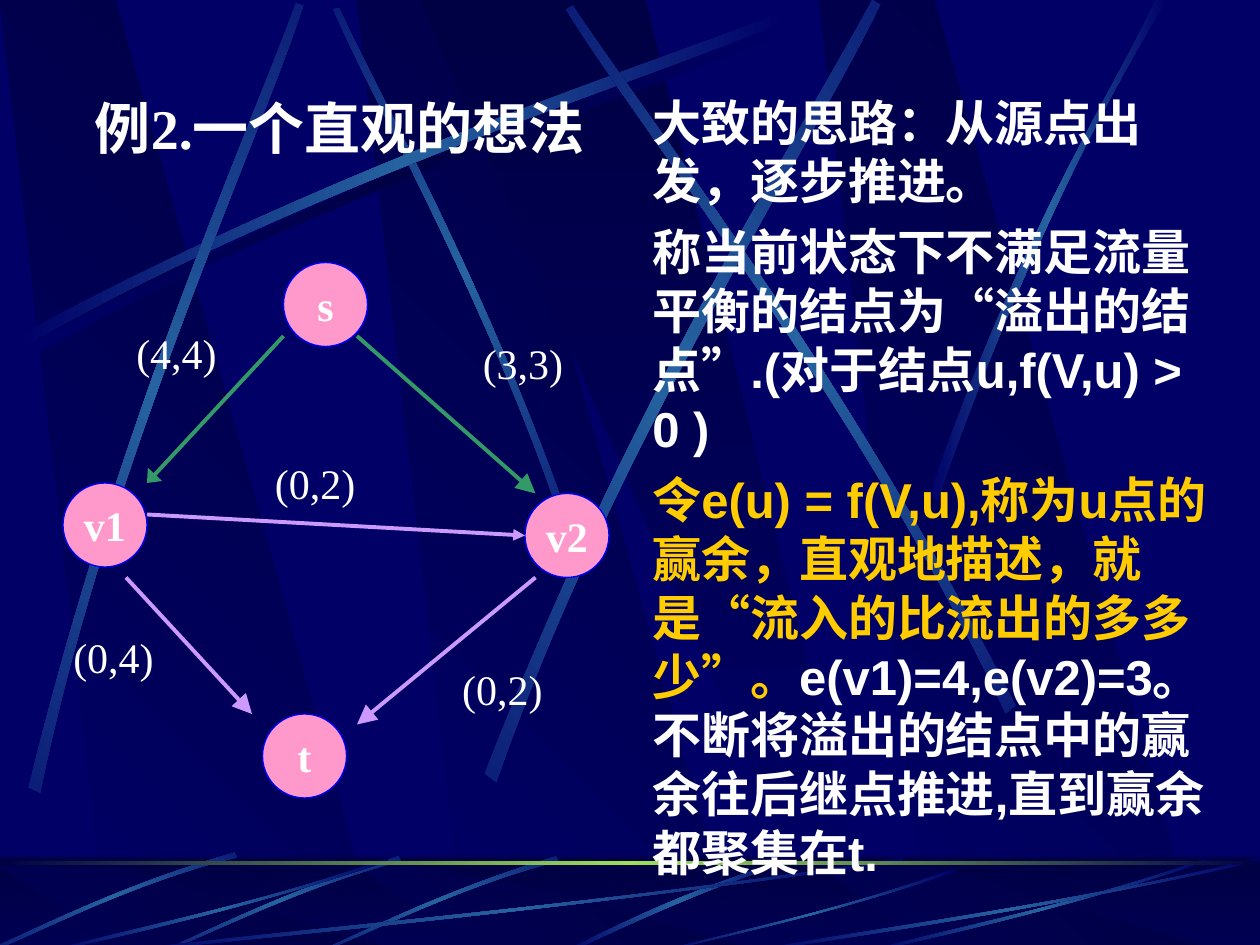
"""Build a slide on the push idea for flow networks."""
from math import cos, radians, sin
from pptx import Presentation
from pptx.dml.color import RGBColor
from pptx.enum.shapes import MSO_CONNECTOR, MSO_SHAPE
from pptx.enum.text import MSO_ANCHOR, MSO_AUTO_SIZE, PP_ALIGN
from pptx.oxml import parse_xml
from pptx.oxml.ns import nsdecls, qn
from pptx.util import Pt

OVAL, RECT = MSO_SHAPE.OVAL, MSO_SHAPE.RECTANGLE
LINE = MSO_CONNECTOR.STRAIGHT
LEFT, CENTER = PP_ALIGN.LEFT, PP_ALIGN.CENTER
TOP, MIDDLE = MSO_ANCHOR.TOP, MSO_ANCHOR.MIDDLE
FIXED = MSO_AUTO_SIZE.NONE
SERIF, SANS = "Times New Roman", "Arial"
WIDE, HIGH, FLOOR, FOOT = 720, 540, 489.6, 543.6

COLORS = {"navy": "000066", "dark": "000044", "beam": "2663A0", "lime": "9CE157",
          "pink": "FF99CC", "blue": "0000FF", "green": "339966", "violet": "CC99FF",
          "white": "FFFFFF", "gold": "FFCC00"}
SHADE = ("dark", "navy")
FADE = ("navy", "beam", "navy")

ARC = [(10.1, 192.2), (200.2, 90), (373, 36.7), (446.4, 7.2),
       (448.6, 11.5), (375.8, 43.9), (178.6, 103), (12.2, 199.4)]
BEAMS = [
    (45, (260.6, 160.2), [(331.2, 313.9), (281.5, 168.5), (217.4, 55.4), (193.7, 3.6),
                          (190.1, 5), (212.4, 56.9), (286.6, 185.8), (326.9, 316.1)]),
    (311.7, (95.8, 227.2), [(16.6, 450), (67, 240.5), (141.8, 75.6), (169.2, 1.4),
                            (173.5, 2.9), (149, 77.8), (61.9, 265), (23, 452.9)]),
    (321.6, (391, 223.6), [(277.2, 442.1), (358.6, 230.4), (459.4, 73.4), (498.2, 0),
                           (502.6, 2.9), (467.3, 77.8), (349.9, 255.6), (283.7, 447.1)]),
    (34.8, (451.4, 205.6), [(580.3, 403.2), (482.4, 211), (371.5, 68.4), (327.6, 2.9),
                            (324, 5), (365, 72.7), (493.2, 234), (575.3, 407.5)])]
RAY = [(531.4, 283), (586.1, 124.6), (639.4, 47.5), (660.2, 0),
       (667.4, 0), (601.9, 104.4), (553.7, 231.8), (535.7, 285.8)]
BLADE = [(451.4, 491), (386.6, 510.5), (343.4, 534.2), (322.6, 542.9),
         (326.2, 543.6), (352.8, 530.6), (411.1, 504), (452.2, 493.2)]
REED = [(318.2, 489.6), (255.6, 507.6), (206.6, 532.8), (184.3, 542.2),
        (185, 543.6), (207.4, 535), (262.8, 506.2), (319.7, 491.8)]
SWEEP = [(1, 0.04), (0.57, 0.57), (0.17, 0.85), (0, 1),
         (0, 0.98), (0.17, 0.81), (0.62, 0.51), (1, 0)]
SWEEPS = [(72, FLOOR, 444), (30, FLOOR, 192), (379.4, 496, 166.4),
          (498, FLOOR, 192), (432, FLOOR, 288)]

NODES = [("v1", 36, 276), ("t", 150, 408), ("s", 162, 150), ("v2", 300, 282)]
EDGES = [(162, 192, 84, 276, "green", "lg", "med"), (84, 294, 300, 306, "violet", "med", "med"),
         (204, 192, 306, 282, "green", "lg", "lg"), (306, 330, 204, 414, "violet", "lg", "lg"),
         (72, 330, 144, 408, "violet", "lg", "lg")]
LABELS = [("(0,2)", 150, 258), ("(4,4)", 70.8, 183.6), ("(0,4)", 34.8, 357.4),
          ("(3,3)", 268.8, 189.4), ("(0,2)", 257, 375.4)]
TITLE = "例2.一个直观的想法"
BODY = [
    (SERIF, 0, [("大致的思路：从源点出发，逐步推进。", "white")]),
    (SANS, 7, [("称当前状态下不满足流量平衡的结点为“溢出的结点”.(对于结点u,f(V,u) > 0 )", "white")]),
    (SANS, 7, [("令e(u) = f(V,u),称为u点的赢余，直观地描述，就是“流入的比流出的多多少”。", "gold"),
               ("e(v1)=4,e(v2)=3。不断将溢出的结点中的赢余往后继点推进,直到赢余都聚集在t.", "white")])]


def color(name):
    return RGBColor.from_string(COLORS[name])


def blend(shape, names, angle):
    shape.shadow.inherit = False
    shape.line.fill.background()
    shape.fill.background()
    step = 100000 // (len(names) - 1)
    stops = "".join(f'<a:gs pos="{i * step}"><a:srgbClr val="{COLORS[name]}"/></a:gs>'
                    for i, name in enumerate(names))
    grad = parse_xml(f'<a:gradFill {nsdecls("a")} rotWithShape="1"><a:gsLst>{stops}</a:gsLst>'
                     f'<a:lin ang="{angle * 60000}" scaled="1"/></a:gradFill>')
    props = shape._element.spPr
    props.replace(props.find(qn("a:noFill")), grad)


def outline(slide, points, names, angle):
    pen = slide.shapes.build_freeform(*points[0], scale=float(Pt(1)))
    pen.add_line_segments(points[1:], close=True)
    shape = pen.convert_to_shape()
    blend(shape, names, angle)
    return shape


def streak(slide, points, names=FADE):
    shape = outline(slide, points, names, 180)
    legs = list(shape._element.iter(qn("a:lnTo")))
    for trio in (legs[:3], legs[4:7]):
        bend = parse_xml(f'<a:cubicBezTo {nsdecls("a")}/>')
        trio[0].addprevious(bend)
        for leg in trio:
            bend.append(leg[0])
            leg.getparent().remove(leg)
    return shape


def tilt(slide, angle, mid, points):
    c, s = cos(radians(angle)), sin(radians(angle))
    flat = [(mid[0] + (x - mid[0]) * c + (y - mid[1]) * s,
             mid[1] - (x - mid[0]) * s + (y - mid[1]) * c) for x, y in points]
    streak(slide, flat).rotation = angle


def move(points, dx, dy):
    return [(x + dx, y + dy) for x, y in points]


def bands(slide, top):
    for x in (204, 0, 468):
        outline(slide, [(x, top), (x + 62, HIGH), (x + 217.4, HIGH), (x + 65.6, top)], SHADE, 135)
    outline(slide, [(240, top), (474, HIGH), (500, HIGH), (369.4, top)], SHADE, 90)


def block(slide, top, height):
    shape = slide.shapes.add_shape(RECT, 0, Pt(top), Pt(WIDE), Pt(height))
    shape.shadow.inherit = False
    shape.line.fill.background()
    return shape


def scene(slide):
    slide.background.fill.solid()
    slide.background.fill.fore_color.rgb = color("navy")
    bands(slide, 0)
    streak(slide, move(ARC, 4.3, 5.8), ("navy", "dark", "navy"))
    tilt(slide, *BEAMS[0])
    streak(slide, ARC)
    for beam in BEAMS[1:]:
        tilt(slide, *beam)
    streak(slide, RAY)
    blend(block(slide, FLOOR, FOOT - FLOOR), SHADE, 90)
    bands(slide, 495.4)
    veil = block(slide, FLOOR, FOOT - FLOOR)
    veil.fill.solid()
    veil.fill.fore_color.rgb = color("dark")
    tint = veil._element.spPr.find(qn("a:solidFill"))[0]
    tint.append(parse_xml(f'<a:alpha {nsdecls("a")} val="50000"/>'))
    streak(slide, BLADE)
    for dx, dy in ((0, 0), (-90, 0), (-184, -2.5)):
        tilt(slide, 314.9, (252 + dx, 516.6 + dy), move(REED, dx, dy))
    for left, top, width in SWEEPS:
        streak(slide, [(left + x * width, top + y * (FOOT - top)) for x, y in SWEEP])
    blend(block(slide, 492.3, 1.8), ("dark", "lime", "dark"), 180)


def style(para, size, font=SERIF, bold=False, align=LEFT):
    para.alignment = align
    for run in para.runs:
        run.font.size, run.font.name, run.font.bold = Pt(size), font, bold
        run.font.color.rgb = color("white")


def node(slide, name, left, top):
    shape = slide.shapes.add_shape(OVAL, Pt(left), Pt(top), Pt(48), Pt(48))
    shape.shadow.inherit = False
    shape.fill.solid()
    shape.fill.fore_color.rgb = color("pink")
    shape.line.color.rgb = color("blue")
    shape.line.width = Pt(0.75)
    frame = shape.text_frame
    frame.text, frame.word_wrap, frame.vertical_anchor = name, False, MIDDLE
    style(frame.paragraphs[0], 24, bold=True, align=CENTER)


def edge(slide, x1, y1, x2, y2, tone, wide, long):
    link = slide.shapes.add_connector(LINE, Pt(x1), Pt(y1), Pt(x2), Pt(y2))
    link.line.color.rgb = color(tone)
    link.line.width = Pt(2.25)
    link.line._get_or_add_ln().append(parse_xml(
        f'<a:tailEnd {nsdecls("a")} type="triangle" w="{wide}" len="{long}"/>'))
    link._element.spPr.append(parse_xml(f'<a:effectLst {nsdecls("a")}/>'))


def label(slide, text, left, top):
    frame = slide.shapes.add_textbox(Pt(left), Pt(top), Pt(60.5), Pt(36)).text_frame
    frame.text, frame.word_wrap = text, False
    style(frame.paragraphs[0], 24)


def place(slide, holder, left, top, width, height):
    slide.shapes._spTree.append(holder._element)
    holder.left, holder.top, holder.width, holder.height = map(Pt, (left, top, width, height))
    frame = holder.text_frame
    frame.word_wrap, frame.auto_size, frame.vertical_anchor = True, FIXED, TOP
    return frame


def prose(frame):
    for i, (font, gap, parts) in enumerate(BODY):
        para = frame.add_paragraph() if i else frame.paragraphs[0]
        for text, tone in parts:
            para.add_run().text = text
        style(para, 28, font, True)
        for run, (text, tone) in zip(para.runs, parts):
            run.font.color.rgb = color(tone)
        para.space_before = Pt(gap)
        props = para._p.get_or_add_pPr()
        for key in ("marL", "indent", "hangingPunct"):
            props.set(key, "0")
        props.append(parse_xml(f'<a:buNone {nsdecls("a")}/>'))


def main():
    deck = Presentation()
    deck.slide_width, deck.slide_height = Pt(WIDE), Pt(HIGH)
    slide = deck.slides.add_slide(deck.slide_layouts[1])
    title, body = slide.placeholders
    scene(slide)
    for make, rows in ((node, NODES), (edge, EDGES), (label, LABELS)):
        for row in rows:
            make(slide, *row)
    head = place(slide, title, 34.8, 49.7, 319, 46)
    head.text = TITLE
    style(head.paragraphs[0], 32, bold=True, align=CENTER)
    prose(place(slide, body, 365.6, 49, 339.8, 458.6))
    deck.save("out.pptx")


if __name__ == "__main__":
    main()
